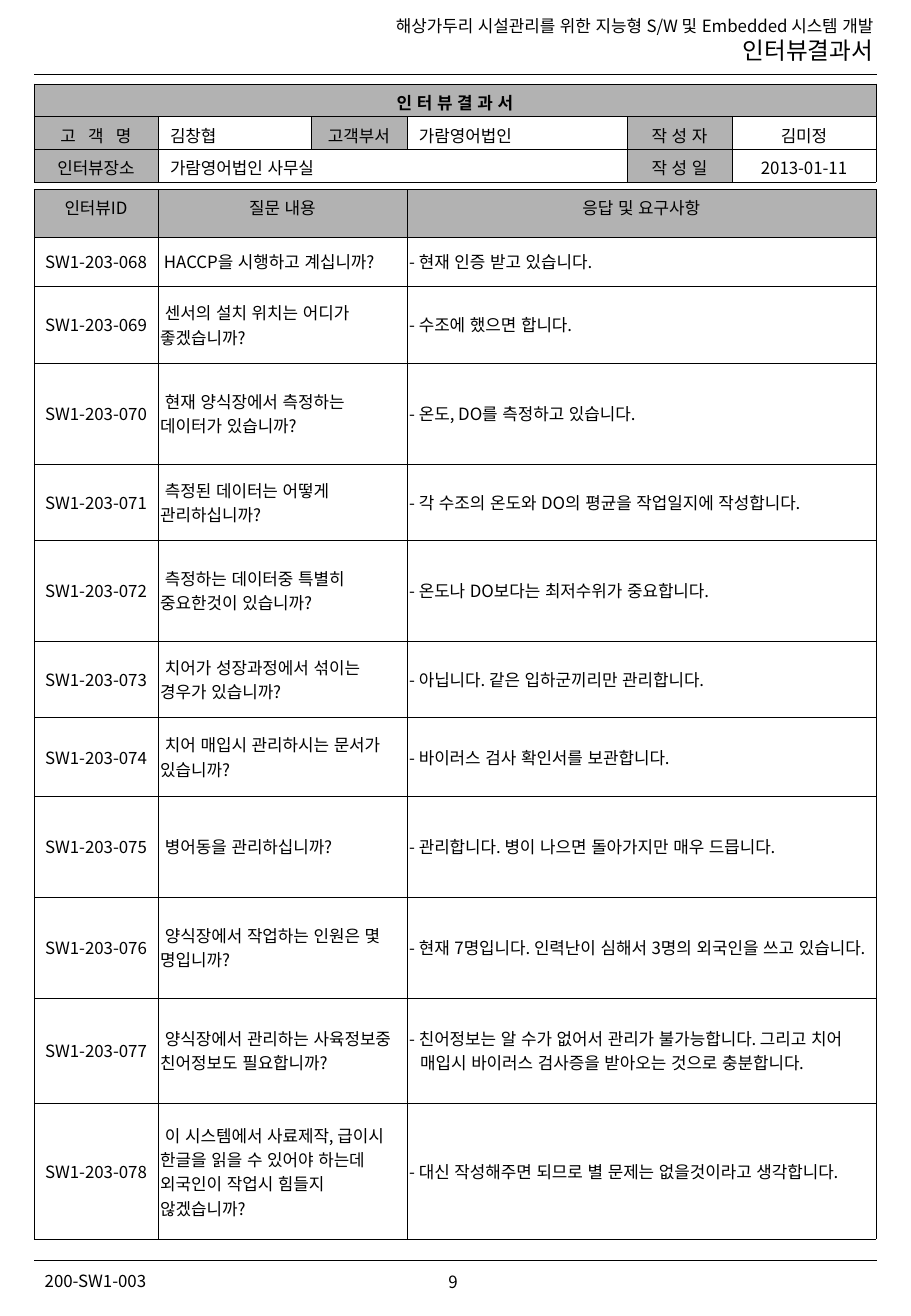
from dataclasses import dataclass

from lxml.etree import SubElement as Sub
from pptx import Presentation
from pptx.dml.color import RGBColor as Rgb
from pptx.enum.lang import MSO_LANGUAGE_ID as Lang
from pptx.enum.shapes import MSO_CONNECTOR as Conn
from pptx.enum.text import MSO_ANCHOR as Anchor, MSO_AUTO_SIZE as Fit, PP_ALIGN as Align
from pptx.oxml.ns import qn
from pptx.util import Inches, Pt


@dataclass(frozen=True)
class Theme:
    font: str = "Noto Sans CJK KR"
    ink: str = "000000"
    head: str = "B2B2B2"
    body: float = 10
    title: float = 14
    gap: float = 2.5
    rule: float = 0.25
    grid: float = 0.11


LEFT, RIGHT = 0.28, 7.22
INFO_COLS = [1.02, 1.26, 0.79, 1.81, 0.87, 1.18]
INFO_ROWS = [0.27] * 3
# row, column, columns spanned, text, is label, is centred
INFO = [
    (0, 0, 6, "인 터 뷰 결 과 서", True, True),
    (1, 0, 1, "고 객 명", True, True),
    (1, 1, 1, "김창협", False, False),
    (1, 2, 1, "고객부서", True, True),
    (1, 3, 1, "가람영어법인", False, False),
    (1, 4, 1, "작 성 자", True, True),
    (1, 5, 1, "김미정", False, True),
    (2, 0, 1, "인터뷰장소", True, True),
    (2, 1, 3, "가람영어법인 사무실", False, False),
    (2, 4, 1, "작 성 일", True, True),
    (2, 5, 1, "2013-01-11", False, True),
]

TALK_COLS = [1.02, 2.05, 3.86]
TALK_HEAD = ["인터뷰ID", "질문 내용", "응답 및 요구사항"]
FIRST_ID = 68
# row height, question, answer
TALK = [
    (0.41, "HACCP을 시행하고 계십니까?", "현재 인증 받고 있습니다."),
    (0.63, "센서의 설치 위치는 어디가 좋겠습니까?", "수조에 했으면 합니다."),
    (0.83, "현재 양식장에서 측정하는 데이터가 있습니까?", "온도, DO를 측정하고 있습니다."),
    (0.63, "측정된 데이터는 어떻게 관리하십니까?",
     "각 수조의 온도와 DO의 평균을 작업일지에 작성합니다."),
    (0.83, "측정하는 데이터중 특별히 중요한것이 있습니까?",
     "온도나 DO보다는 최저수위가 중요합니다."),
    (0.63, "치어가 성장과정에서 섞이는 경우가 있습니까?",
     "아닙니다. 같은 입하군끼리만 관리합니다."),
    (0.65, "치어 매입시 관리하시는 문서가 있습니까?", "바이러스 검사 확인서를 보관합니다."),
    (0.83, "병어동을 관리하십니까?", "관리합니다. 병이 나으면 돌아가지만 매우 드믑니다."),
    (0.83, "양식장에서 작업하는 인원은 몇 명입니까?",
     "현재 7명입니다. 인력난이 심해서 3명의 외국인을 쓰고 있습니다."),
    (0.87, "양식장에서 관리하는 사육정보중 친어정보도 필요합니까?",
     "친어정보는 알 수가 없어서 관리가 불가능합니다. 그리고 치어 매입시 "
     "바이러스 검사증을 받아오는 것으로 충분합니다."),
    (1.12, "이 시스템에서 사료제작, 급이시 한글을 읽을 수 있어야 하는데 "
     "외국인이 작업시 힘들지 않겠습니까?",
     "대신 작성해주면 되므로 별 문제는 없을것이라고 생각합니다."),
]


class Page:
    def __init__(self, slide, theme):
        self.slide, self.theme = slide, theme

    def add_run(self, para, text, size=None, bold=False, align=Align.LEFT, before=0):
        para.alignment = align
        para.space_before = Pt(before)
        run = para.add_run()
        run.text = text
        font = run.font
        font.size, font.bold = Pt(size or self.theme.body), bold
        font.color.rgb = Rgb.from_string(self.theme.ink)
        font.name, font.language_id = self.theme.font, Lang.KOREAN
        Sub(font._element, qn("a:ea"), typeface=self.theme.font)
        return run

    def title(self, box, kicker, name):
        shape = self.slide.shapes.title
        shape.left, shape.top, shape.width, shape.height = map(Inches, box)
        frame = shape.text_frame
        frame.auto_size, frame.vertical_anchor = Fit.NONE, Anchor.TOP
        self.add_run(frame.paragraphs[0], kicker, align=Align.RIGHT)
        self.add_run(frame.add_paragraph(), name, self.theme.title, align=Align.RIGHT)

    def text(self, box, text, anchor=Anchor.TOP, before=0):
        frame = self.slide.shapes.add_textbox(*map(Inches, box)).text_frame
        frame.word_wrap, frame.vertical_anchor = False, anchor
        if anchor == Anchor.MIDDLE:
            frame.margin_left = frame.margin_right = 0
            frame.margin_top = frame.margin_bottom = 0
        self.add_run(frame.paragraphs[0], text, align=Align.CENTER, before=before)

    def rule(self, y):
        ends = map(Inches, (LEFT, y, RIGHT, y))
        line = self.slide.shapes.add_connector(Conn.STRAIGHT, *ends)
        line.line.color.rgb = Rgb.from_string(self.theme.ink)
        line.line.width = Pt(self.theme.rule)
        Sub(line._element.spPr, qn("a:effectLst"))

    def table(self, top, cols, rows):
        box = map(Inches, (LEFT, top, sum(cols), sum(rows)))
        table = self.slide.shapes.add_table(len(rows), len(cols), *box).table
        table.first_row = table.horz_banding = False
        for col, width in zip(table.columns, cols):
            col.width = Inches(width)
        for row, height in zip(table.rows, rows):
            row.height = Inches(height)
        for cell in table.iter_cells():
            self.border(cell)
            cell.fill.background()
        return table

    def border(self, cell):
        props = cell._tc.get_or_add_tcPr()
        for side in "LRTB":
            line = Sub(props, qn(f"a:ln{side}"), w=str(Pt(self.theme.grid)))
            fill = Sub(line, qn("a:solidFill"))
            Sub(fill, qn("a:srgbClr"), val=self.theme.ink)

    def cell(self, cell, text, pad, shade=False, anchor=Anchor.MIDDLE, hang=0, **style):
        cell.margin_left = cell.margin_right = Inches(pad)
        cell.vertical_anchor = anchor
        if shade:
            cell.fill.solid()
            cell.fill.fore_color.rgb = Rgb.from_string(self.theme.head)
        para = cell.text_frame.paragraphs[0]
        if hang:
            props = para._p.get_or_add_pPr()
            props.set("marL", str(Inches(hang)))
            props.set("indent", str(-Inches(hang)))
        return self.add_run(para, text, **style)

    def info(self, top):
        table = self.table(top, INFO_COLS, INFO_ROWS)
        for row, col, span, text, label, mid in INFO:
            cell = table.cell(row, col)
            if span > 1:
                cell.merge(table.cell(row, col + span - 1))
            run = self.cell(cell, text, 0.1, label, bold=row == 0,
                            align=Align.CENTER if mid else Align.LEFT,
                            before=self.theme.gap)
            if text == "고 객 명":
                run.font._element.set("spc", "225")

    def talk(self, top):
        table = self.table(top, TALK_COLS, [0.39] + [item[0] for item in TALK])
        for col, text in enumerate(TALK_HEAD):
            self.cell(table.cell(0, col), text, 0.02, True, Anchor.TOP,
                      align=Align.CENTER)
        for row, (_, ask, reply) in enumerate(TALK, 1):
            code = f"SW1-203-{FIRST_ID + row - 1:03}"
            self.cell(table.cell(row, 0), code, 0.02, align=Align.CENTER)
            self.cell(table.cell(row, 1), f" {ask}", 0.02)
            self.cell(table.cell(row, 2), f"- {reply}", 0.02, hang=0.09)


def main():
    deck = Presentation()
    deck.slide_width, deck.slide_height = Inches(7.5), Inches(10.84)
    page = Page(deck.slides.add_slide(deck.slide_layouts[5]), Theme())
    page.title((LEFT, 0.08, 7.01, 0.5),
               "해상가두리 시설관리를 위한 지능형 S/W 및 Embedded 시스템 개발", "인터뷰결과서")
    page.text((0.26, 10.42, 1.05, 0.27), "200-SW1-003", before=page.theme.gap)
    for y in (0.61, 10.38):
        page.rule(y)
    page.text((3.32, 10.34, 0.82, 0.44), "9", Anchor.MIDDLE)
    page.talk(1.56)
    page.info(0.69)
    deck.save("out.pptx")


if __name__ == "__main__":
    main()
